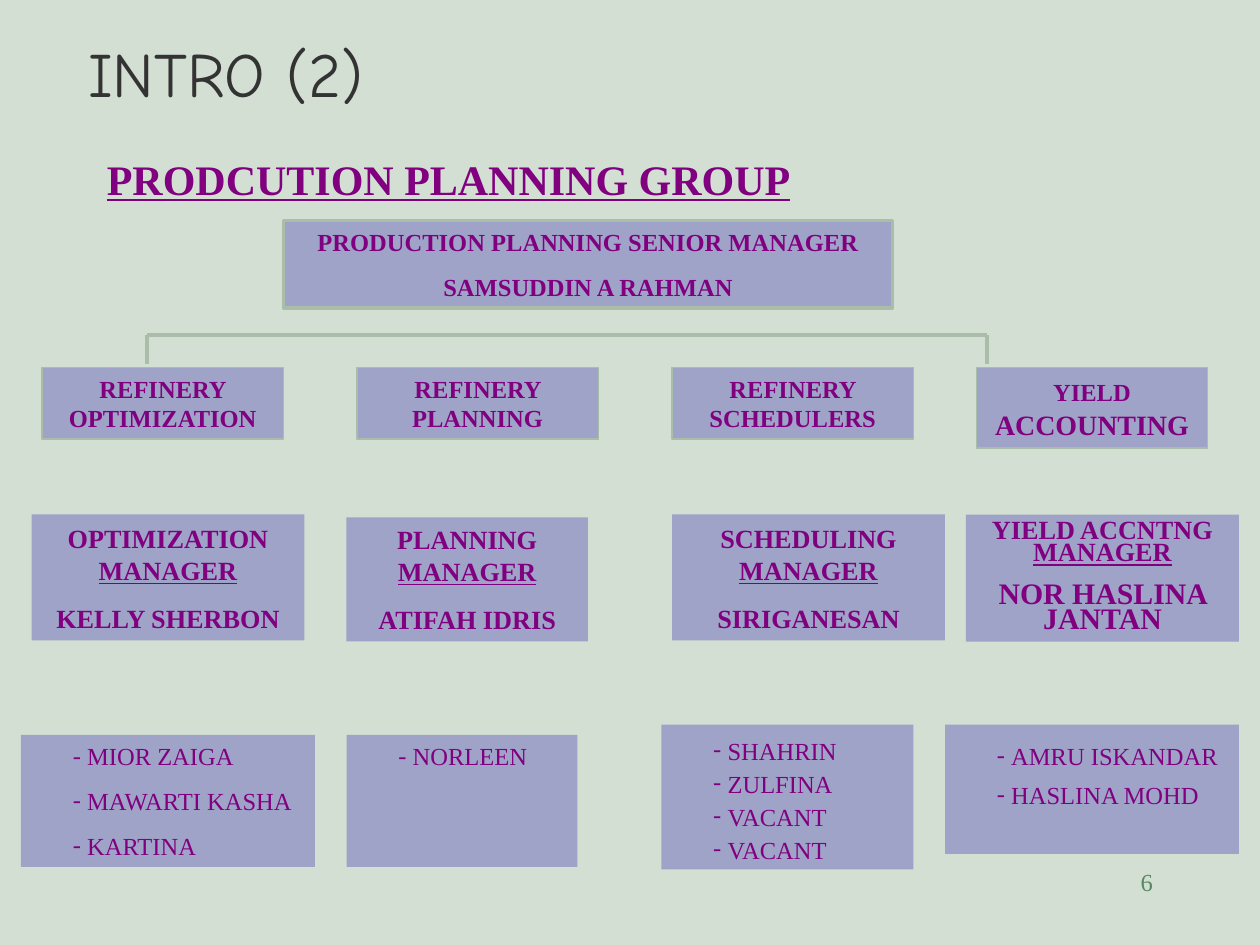
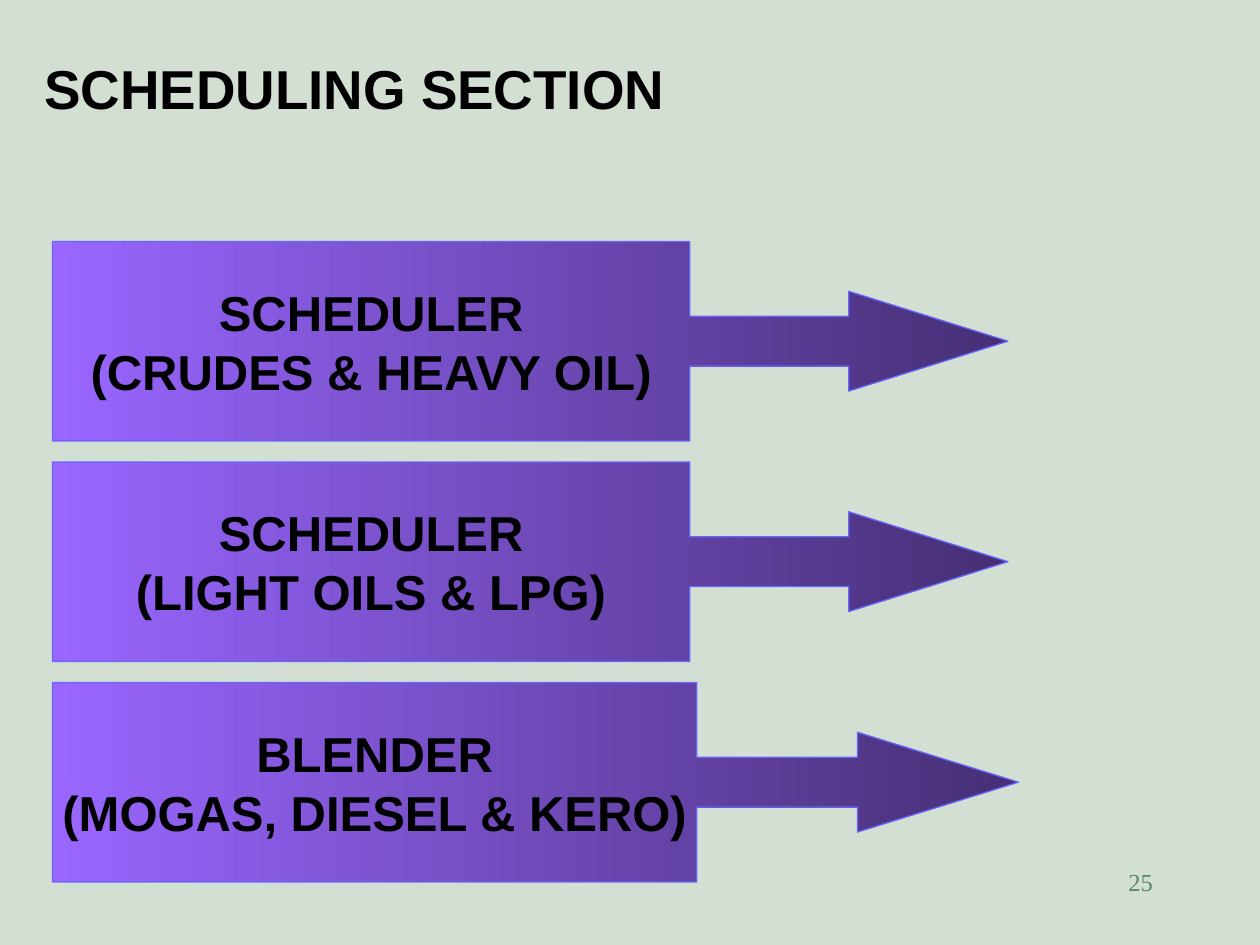
from dataclasses import dataclass

from lxml.etree import SubElement
from pptx import Presentation
from pptx.dml.color import RGBColor as Color
from pptx.enum.shapes import MSO_CONNECTOR as Connector, MSO_SHAPE as Shape
from pptx.enum.text import MSO_ANCHOR as Anchor, MSO_AUTO_SIZE as AutoSize, PP_ALIGN as Align
from pptx.oxml.ns import qn
from pptx.util import Pt


@dataclass(frozen=True)
class Theme:
    background: Color = Color.from_string("D3DFD3")
    box: Color = Color.from_string("9FA3C7")
    border: Color = Color.from_string("A9BDA9")
    purple: Color = Color.from_string("800080")
    title: Color = Color.from_string("333333")
    black: Color = Color.from_string("000000")
    number: Color = Color.from_string("578963")
    arrow_dark: Color = Color.from_string("462F75")
    arrow_light: Color = Color.from_string("9966FF")
    arrow_border: Color = Color.from_string("6666FF")
    serif: str = "Times New Roman"
    sans: str = "Arial"
    script: str = "Comic Neue"
    small: float = 14
    medium: float = 15
    large: float = 16
    name: float = 17
    heading: float = 24
    callout: float = 28
    intro: float = 36
    section: float = 54


THEME = Theme()


@dataclass(frozen=True)
class Style:
    size: float
    font: str = THEME.serif
    color: Color = THEME.purple
    bold: bool = True
    underline: bool = False


LABEL = Style(THEME.small)
LABEL_LARGE = Style(THEME.large)
ROLE = Style(THEME.medium)
ROLE_UNDERLINED = Style(THEME.medium, underline=True)
NAME_LARGE = Style(THEME.name)
MEMBER = Style(THEME.small, bold=False)
HEADING = Style(THEME.heading, underline=True)
CALLOUT = Style(THEME.callout, THEME.sans, THEME.black)
INTRO = Style(THEME.intro, THEME.script, THEME.title, bold=False)
SECTION = Style(THEME.section, THEME.sans, THEME.black)
NUMBER = Style(THEME.small, color=THEME.number, bold=False)


def points(*lengths):
    return [Pt(length) for length in lengths]


def add_run(paragraph, text, style):
    run = paragraph.add_run()
    run.text = text
    run.font.name = style.font
    run.font.size = Pt(style.size)
    run.font.bold = style.bold
    run.font.underline = style.underline
    run.font.color.rgb = style.color


def set_frame(shape, anchor=Anchor.TOP, wrap=True, top_inset=3.6):
    frame = shape.text_frame
    frame.auto_size = AutoSize.NONE
    frame.word_wrap = wrap
    frame.vertical_anchor = anchor
    frame.margin_left = frame.margin_right = Pt(7.2)
    frame.margin_top, frame.margin_bottom = points(top_inset, 3.6)
    return frame


def write(frame, lines, align=Align.LEFT, gap=0, line_spacing=None):
    for index, runs in enumerate(lines):
        paragraph = frame.add_paragraph() if index else frame.paragraphs[0]
        paragraph.alignment = align
        paragraph.space_before = Pt(gap if index else 0)
        if line_spacing:
            paragraph.line_spacing = line_spacing
        for text, style in runs:
            add_run(paragraph, text, style)


def add_dash(paragraph):
    properties = paragraph._p.get_or_add_pPr()
    properties.set("marL", str(Pt(30.7)))
    properties.set("indent", str(Pt(-8.2)))
    SubElement(properties, qn("a:buFont")).set("typeface", THEME.serif)
    SubElement(properties, qn("a:buChar")).set("char", "-")


def set_title(slide, area, text, style, anchor):
    title = slide.shapes.title
    title.left, title.top, title.width, title.height = points(*area)
    frame = set_frame(title, anchor)
    write(frame, [[(text, style)]])
    return frame.paragraphs[0].runs[0]


def add_text(slide, area, text, style, align=Align.LEFT, anchor=Anchor.TOP):
    shape = slide.shapes.add_textbox(*points(*area))
    write(set_frame(shape, anchor), [[(text, style)]], align)


def add_slide_number(slide, number):
    add_text(slide, (516, 492, 150, 36), number, NUMBER, Align.RIGHT)


def add_box(slide, area, border_width=0):
    shape = slide.shapes.add_shape(Shape.RECTANGLE, *points(*area))
    shape.shadow.inherit = False
    shape.fill.solid()
    shape.fill.fore_color.rgb = THEME.box
    if border_width:
        shape.line.color.rgb = THEME.border
        shape.line.width = Pt(border_width)
    else:
        shape.line.fill.background()
    return shape


def add_card(slide, area, lines, border_width=0, gap=8.8, line_spacing=None):
    shape = add_box(slide, area, border_width)
    write(set_frame(shape), lines, Align.CENTER, gap, line_spacing)


def add_member_list(slide, area, members, top_inset=3.6, line_spacing=None):
    frame = set_frame(add_box(slide, area), top_inset=top_inset)
    write(frame, [[(member, MEMBER)] for member in members], gap=8.8, line_spacing=line_spacing)
    for paragraph in frame.paragraphs:
        add_dash(paragraph)


def add_line(slide, *ends):
    line = slide.shapes.add_connector(Connector.STRAIGHT, *points(*ends))
    line.line.color.rgb = THEME.border
    line.line.width = Pt(2.25)
    SubElement(line._element.spPr, qn("a:effectLst"))


def add_callout(slide, area, body_share, texts):
    shape = slide.shapes.add_shape(Shape.RIGHT_ARROW_CALLOUT, *points(*area))
    shape.shadow.inherit = False
    for index, value in enumerate((0.25, 0.25, body_share, 0.667)):
        shape.adjustments[index] = value
    shape.fill.gradient()
    shape.fill.gradient_angle = 180
    for stop, color in zip(shape.fill.gradient_stops, (THEME.arrow_dark, THEME.arrow_light)):
        stop.color.rgb = color
    shape.line.color.rgb = THEME.arrow_border
    shape.line.width = Pt(0.75)
    frame = set_frame(shape, Anchor.MIDDLE, wrap=False)
    write(frame, [[(text, CALLOUT)] for text in texts], Align.CENTER)


def build_organization(slide):
    set_title(slide, (43.2, 15.84, 200, 50.4), "INTRO (2)", INTRO, Anchor.TOP)
    add_text(slide, (54, 84, 612, 36), "PRODCUTION PLANNING GROUP", HEADING, anchor=Anchor.MIDDLE)
    add_card(slide, (162, 126, 348, 49.8), [
        [("PRODUCTION PLANNING SENIOR MANAGER", LABEL)],
        [("SAMSUDDIN A RAHMAN", LABEL)],
    ], border_width=2.25)

    left, right, top, bottom = 84, 564, 191.5, 208
    for x in (left, right):
        add_line(slide, x, top, x, bottom)
    add_line(slide, left, top, right, top)

    departments = ("OPTIMIZATION", "PLANNING", "SCHEDULERS")
    for index, department in enumerate(departments):
        area = (24 + 180 * index, 210, 138, 41)
        add_card(slide, area, [[(f"REFINERY {department}", LABEL)]], 0.75)
    add_card(slide, (558, 210, 132, 46), [[("YIELD", LABEL), (" ACCOUNTING", LABEL_LARGE)]], 0.75)

    managers = (
        ((18, 294, 156, 72), "OPTIMIZATION", LABEL_LARGE, "KELLY SHERBON"),
        ((198, 295.7, 138, 70.8), "PLANNING", ROLE, "ATIFAH IDRIS"),
        ((384, 294, 156, 72), "SCHEDULING", LABEL_LARGE, "SIRIGANESAN"),
    )
    for area, role, space_style, name in managers:
        add_card(slide, area, [
            [(role, ROLE), (" ", space_style), ("MANAGER", ROLE_UNDERLINED)],
            [(name, ROLE)],
        ], gap=9.4)
    add_card(slide, (552, 294, 156, 72.7), [
        [("YIELD ACCNTNG", ROLE), (" ", LABEL_LARGE), ("MANAGER", ROLE_UNDERLINED)],
        [("NOR HASLINA JANTAN", NAME_LARGE)],
    ], gap=10.6, line_spacing=0.7)

    add_member_list(slide, (12, 420, 168, 75.4), ("MIOR ZAIGA", "MAWARTI KASHA", "KARTINA"))
    add_member_list(slide, (198, 420, 132, 75.4), ("NORLEEN",))
    add_member_list(slide, (378, 414, 144, 82.8), ("SHAHRIN", "ZULFINA", "VACANT", "VACANT"), 12.7, 0.6)
    add_member_list(slide, (540, 414, 168, 74), ("AMRU ISKANDAR", "HASLINA MOHD"), 12.7, 0.8)
    add_slide_number(slide, "6")


def build_scheduling(slide):
    run = set_title(slide, (18, 24, 612, 66), "SCHEDULING SECTION", SECTION, Anchor.MIDDLE)
    run._r.get_or_add_rPr().set("baseline", "30000")
    callouts = (
        (546, 0.798, ("SCHEDULER", "(CRUDES & HEAVY OIL)")),
        (546, 0.798, ("SCHEDULER", "(LIGHT OILS & LPG)")),
        (552, 0.807, ("BLENDER", "(MOGAS, DIESEL & KERO)")),
    )
    for index, (width, body_share, texts) in enumerate(callouts):
        add_callout(slide, (30, 138 + 126 * index, width, 114), body_share, texts)
    add_slide_number(slide, "25")


def main():
    presentation = Presentation()
    presentation.slide_width, presentation.slide_height = points(720, 540)
    background = presentation.slide_master.background.fill
    background.solid()
    background.fore_color.rgb = THEME.background
    title_only = presentation.slide_layouts.get_by_name("Title Only")
    for build in (build_organization, build_scheduling):
        build(presentation.slides.add_slide(title_only))
    presentation.save("out.pptx")


if __name__ == "__main__":
    main()
